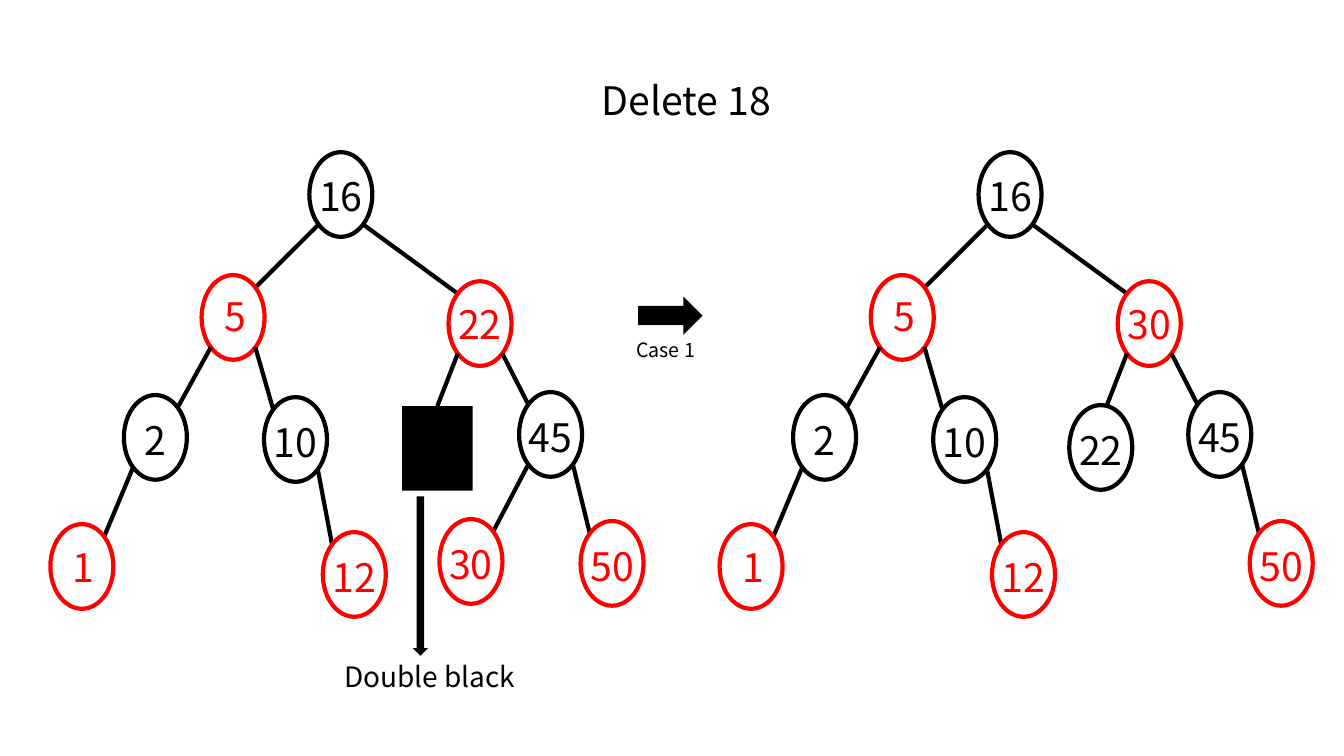
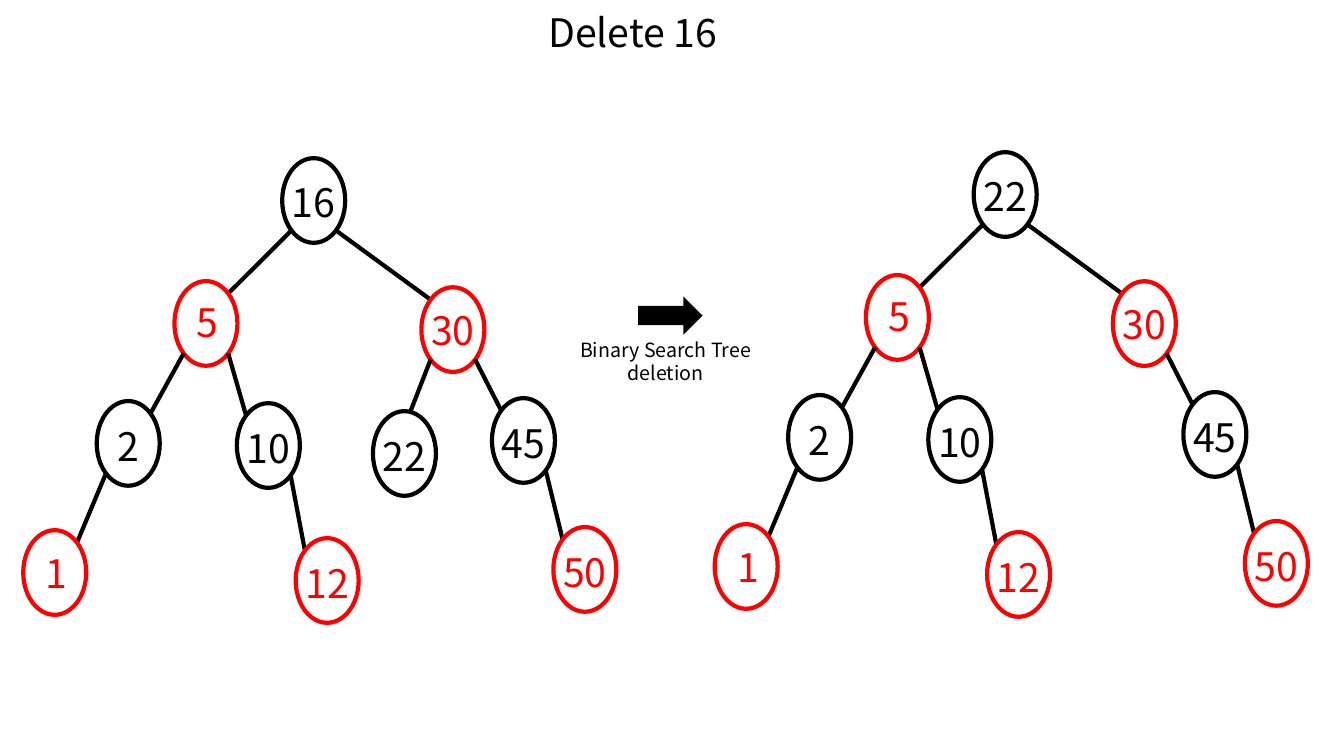
from dataclasses import dataclass
from math import sqrt
from typing import Any, Optional

from lxml.etree import SubElement
from pptx import Presentation
from pptx.dml.color import RGBColor as RGB
from pptx.enum.shapes import MSO_CONNECTOR as LINE, MSO_SHAPE as SHAPE
from pptx.enum.text import MSO_ANCHOR as ANCHOR, PP_ALIGN as ALIGN
from pptx.oxml.ns import qn
from pptx.util import Pt


# Shared look
@dataclass(frozen=True)
class Theme:
    font: str = "Noto Sans CJK KR"
    black: RGB = RGB(0, 0, 0)
    red: RGB = RGB(255, 0, 0)
    large: float = 28
    medium: float = 20
    small: float = 14
    stroke: float = 3


@dataclass(frozen=True)
class Box:
    x: float
    y: float
    w: float
    h: float

    def lengths(self) -> tuple[Pt, Pt, Pt, Pt]:
        return Pt(self.x), Pt(self.y), Pt(self.w), Pt(self.h)


@dataclass(frozen=True)
class Slot:
    """Place of a node relative to the root, and the shift of its number."""
    x: float
    y: float
    dx: float = 0
    dy: float = 1.8


@dataclass(frozen=True)
class Tree:
    x: float
    y: float
    values: dict[str, Optional[int]]  # None marks the double black node


@dataclass(frozen=True)
class Step:
    title: str
    title_x: float
    title_y: float
    caption: str
    caption_h: float
    before: Tree
    after: Tree


THEME = Theme()
NODE_W, NODE_H = 45, 60.5
DIAGONAL = (1 - sqrt(0.5)) / 2  # inset of an ellipse's 45-degree points
INNER_TIP = (91.4, 181.4)       # end of the edge to the right child's left child

# A slot is named by the turns that lead to it from the root
SLOTS = {
    "": Slot(0, 0, dy=1),
    "L": Slot(-77, 87.8, dx=1.3, dy=-1),
    "R": Slot(99.4, 92.2, dy=0),
    "LL": Slot(-132.5, 173.5),
    "LR": Slot(-32.4, 175),
    "RL": Slot(64.8, 180.7),
    "RR": Slot(149.8, 171.4),
    "LLL": Slot(-185, 265.7, dx=1.3, dy=0.4),
    "LRR": Slot(9.6, 271.4),
    "RRL": Slot(92.9, 262.1),
    "RRR": Slot(193.7, 263.5),
}


# Text and shapes
def write(sp: Any, text: str, *, size: float, color: RGB = THEME.black,
          wrap: bool = True, dx: float = 0, dy: float = 0) -> None:
    tf = sp.text_frame
    tf.word_wrap = wrap
    tf.vertical_anchor = ANCHOR.MIDDLE
    # Twice the shift as an inset on one side moves the centre by the shift
    tf.margin_left, tf.margin_right = Pt(max(0, 2 * dx)), Pt(max(0, -2 * dx))
    tf.margin_top, tf.margin_bottom = Pt(max(0, 2 * dy)), Pt(max(0, -2 * dy))
    p = tf.paragraphs[0]
    p.alignment = ALIGN.CENTER
    r = p.add_run()
    r.text = text
    r.font.name = THEME.font
    r.font.size = Pt(size)
    r.font.color.rgb = color


def add_label(s: Any, box: Box, text: str, size: float) -> None:
    write(s.shapes.add_textbox(*box.lengths()), text, size=size)


def add_solid(shapes: Any, kind: SHAPE, box: Box, rotation: float = 0) -> None:
    sp = shapes.add_shape(kind, *box.lengths())
    sp.shadow.inherit = False
    sp.fill.solid()
    sp.fill.fore_color.rgb = THEME.black
    sp.line.fill.background()
    sp.rotation = rotation


# Tree
def add_node(shapes: Any, tree: Tree, name: str, value: int) -> None:
    slot = SLOTS[name]
    color = THEME.red if len(name) % 2 else THEME.black
    box = Box(tree.x + slot.x, tree.y + slot.y, NODE_W, NODE_H)
    sp = shapes.add_shape(SHAPE.OVAL, *box.lengths())
    sp.shadow.inherit = False
    sp.fill.background()
    sp.line.color.rgb = color
    sp.line.width = Pt(THEME.stroke)
    write(sp, str(value), size=THEME.large, color=color, wrap=False,
          dx=slot.dx, dy=slot.dy)


def add_edge(shapes: Any, tree: Tree, name: str) -> None:
    parent, child = SLOTS[name[:-1]], SLOTS[name]
    near, far = DIAGONAL, 1 - DIAGONAL
    start, end = (near, far) if name[-1] == "L" else (far, near)
    x1, y1 = parent.x + start * NODE_W, parent.y + far * NODE_H
    x2, y2 = child.x + end * NODE_W, child.y + near * NODE_H
    if name == "RL":
        x2, y2 = INNER_TIP
    cx = shapes.add_connector(LINE.STRAIGHT, Pt(tree.x + x1), Pt(tree.y + y1),
                              Pt(tree.x + x2), Pt(tree.y + y2))
    cx.line.color.rgb = THEME.black
    cx.line.width = Pt(THEME.stroke)
    SubElement(cx._element.spPr, qn("a:effectLst"))


def add_tree(s: Any, tree: Tree) -> None:
    shapes = s.shapes.add_group_shape().shapes
    for name, value in tree.values.items():
        if name:
            add_edge(shapes, tree, name)
        if value is None:
            w = 50.4
            add_solid(shapes, SHAPE.RECTANGLE,
                      Box(tree.x + INNER_TIP[0] - w / 2, tree.y + INNER_TIP[1], w, NODE_H))
        else:
            add_node(shapes, tree, name, value)


# Slide
def add_step(prs: Any, step: Step) -> Any:
    s = prs.slides.add_slide(prs.slide_layouts[6])
    add_label(s, Box(step.title_x, step.title_y, 200, 41), step.title, THEME.large)
    add_tree(s, step.before)
    add_solid(s.shapes, SHAPE.RIGHT_ARROW, Box(455.8, 211.7, 46, 27.4))
    add_label(s, Box(394.5, 237.6, 162, step.caption_h), step.caption, THEME.small)
    add_tree(s, step.after)
    return s


def main() -> None:
    prs = Presentation()
    prs.slide_width, prs.slide_height = Pt(960), Pt(540)

    # Values of the successive trees
    left_side = {"L": 5, "LL": 2, "LR": 10, "LLL": 1, "LRR": 12}
    right_end = {"RR": 45, "RRR": 50}
    deleted_18 = {"": 16, **left_side, "R": 22, "RL": None, **right_end, "RRL": 30}
    balanced = {"": 16, **left_side, "R": 30, "RL": 22, **right_end}
    deleted_16 = {"": 22, **left_side, "R": 30, **right_end}

    s = add_step(prs, Step("Delete 18", 390.2, 51.1, "Case 1", 24.5,
                           Tree(221, 108.7, deleted_18), Tree(699, 108.7, balanced)))
    # Pointer to the double black node
    add_solid(s.shapes, SHAPE.RIGHT_ARROW, Box(243.4, 406.1, 113.8, 10.8), rotation=90)
    add_label(s, Box(185.8, 467.3, 242.6, 31.7), "Double black", THEME.medium)

    add_step(prs, Step("Delete 16", 352, 2.2, "Binary Search Tree deletion", 41,
                       Tree(201.6, 113, balanced), Tree(695.5, 108.7, deleted_16)))
    prs.save("out.pptx")


main()
